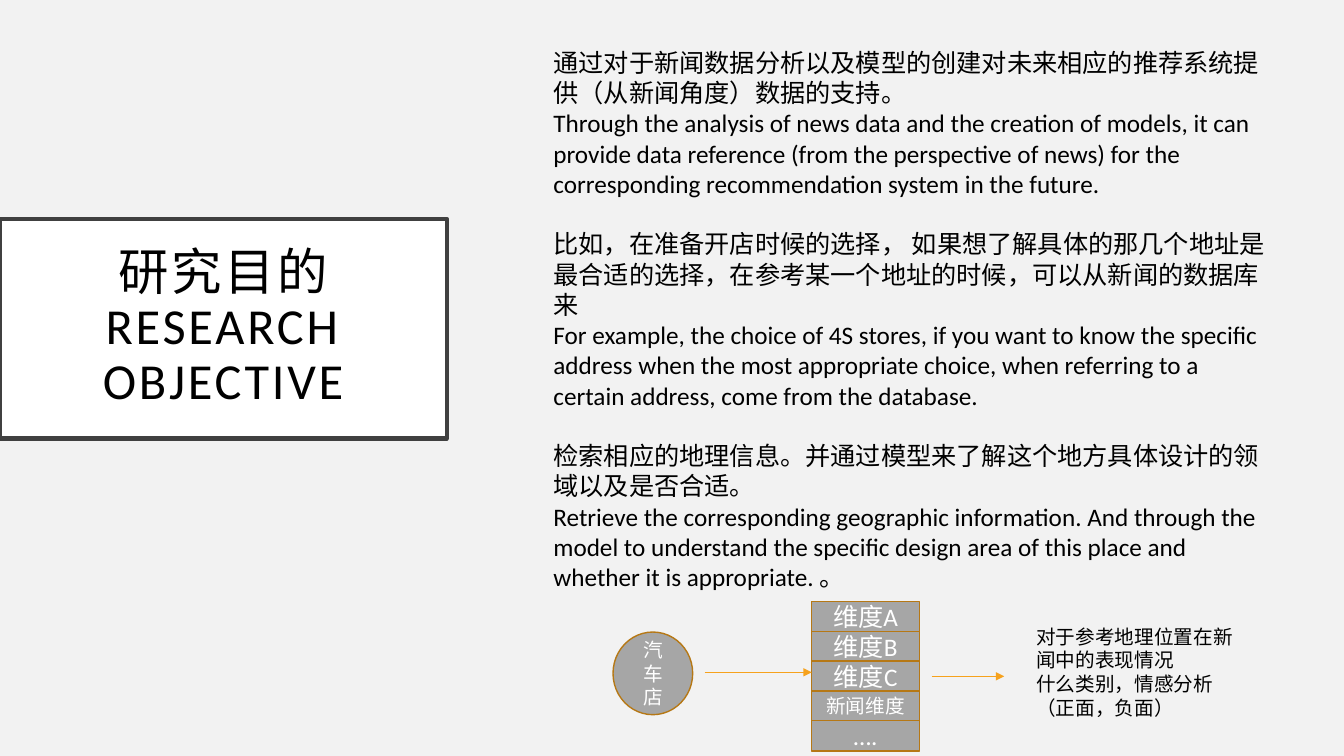
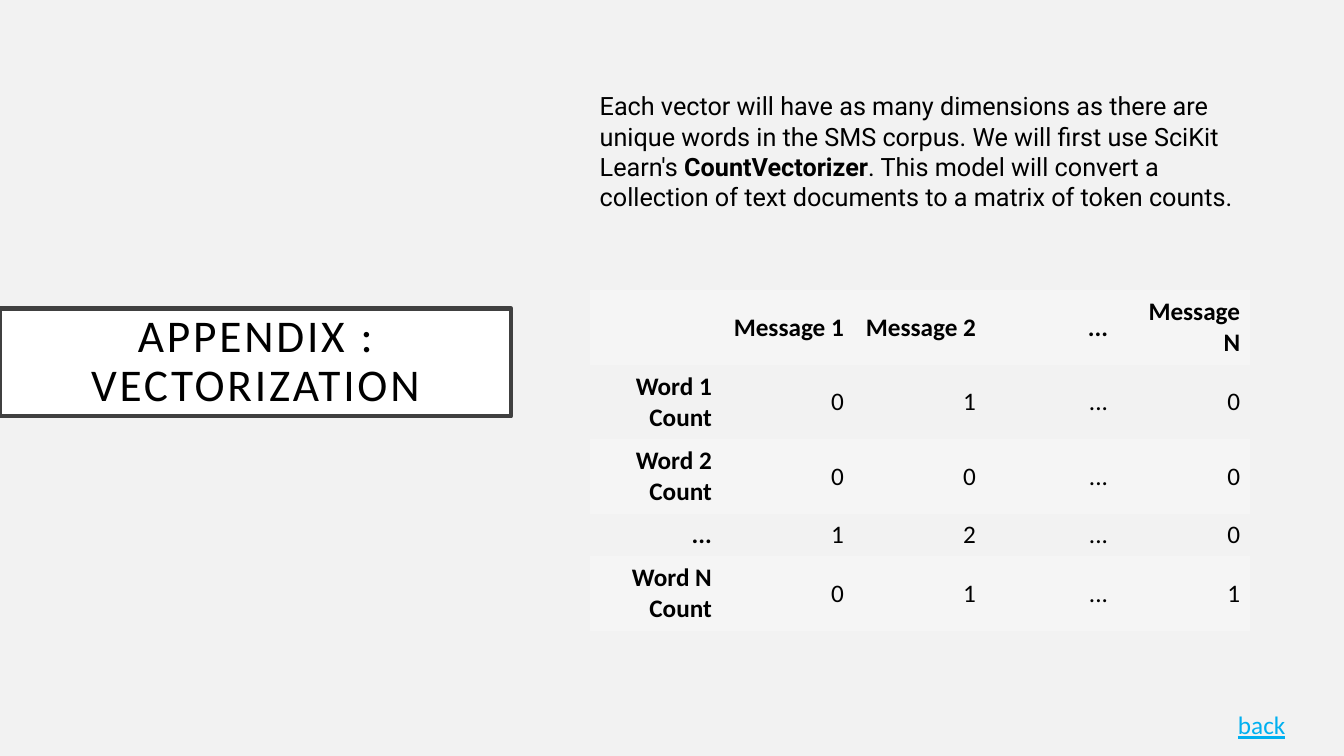
"""Build the research objective and vectorization slides."""
from dataclasses import dataclass
from typing import Sequence

from lxml import etree
from pptx import Presentation
from pptx import util as u
from pptx.dml.color import RGBColor
from pptx.enum import shapes, text
from pptx.oxml import ns


@dataclass(frozen=True)
class Theme:
    background: str = "F2F2F2"
    panel: str = "FFFFFF"
    panel_line: str = "404040"
    ink: str = "000000"
    node: str = "A6A6A6"
    node_line: str = "B67815"
    node_ink: str = "FFFFFF"
    arrow: str = "F6A21D"
    band: str = "F5F5F5"
    link: str = "00B0F0"
    font: str = "Calibri"
    alternate_font: str = "Roboto"
    title_size: float = 36
    small_title_size: float = 32.4
    body_size: float = 18
    small_size: float = 14
    section_gap: float = 21.6
    plain_table: str = "{2D5ABB26-0587-4C30-8999-92F81FD0307C}"


THEME = Theme()


@dataclass(frozen=True)
class Box:
    left: float
    top: float
    width: float
    height: float

    def lengths(self) -> tuple:
        return tuple(u.Inches(value) for value in (self.left, self.top, self.width, self.height))


@dataclass(frozen=True)
class Style:
    size: float = THEME.body_size
    color: str = THEME.ink
    font: str = THEME.font
    bold: bool = False
    underline: bool = False


@dataclass(frozen=True)
class Span:
    words: str
    bold: bool = False


@dataclass(frozen=True)
class Paragraph:
    spans: Sequence[Span]
    gap: float = 0


@dataclass(frozen=True)
class Node:
    label: str
    box: Box
    preset: shapes.MSO_SHAPE = shapes.MSO_SHAPE.RECTANGLE
    size: float = THEME.body_size


@dataclass(frozen=True)
class Arrow:
    start: float
    end: float
    height: float


OBJECTIVES = [
    ("通过对于新闻数据分析以及模型的创建对未来相应的推荐系统提供（从新闻角度）数据的支持。",
     "Through the analysis of news data and the creation of models, it can provide data reference "
     "(from the perspective of news) for the corresponding recommendation system in the future."),
    ("比如，在准备开店时候的选择， 如果想了解具体的那几个地址是最合适的选择，"
     "在参考某一个地址的时候，可以从新闻的数据库来",
     "For example, the choice of 4S stores, if you want to know the specific address when the most "
     "appropriate choice, when referring to a certain address, come from the database."),
    ("检索相应的地理信息。并通过模型来了解这个地方具体设计的领域以及是否合适。",
     "Retrieve the corresponding geographic information. And through the model to understand the "
     "specific design area of this place and whether it is appropriate. 。"),
]
DIMENSIONS = [
    ("维度A", THEME.body_size),
    ("维度B", THEME.body_size),
    ("维度C", THEME.body_size),
    ("新闻维度", THEME.small_size),
    ("….", THEME.body_size),
]
DIMENSION_TOP, DIMENSION_PITCH = 5.97, 1.18 / 4
ARROWS = [Arrow(6.99, 8.05, 6.67), Arrow(9.24, 9.96, 6.71)]
OUTCOMES = ["对于参考地理位置在新闻中的表现情况", "什么类别，情感分析（正面，负面）"]
VECTORIZER = [
    Span("Each vector will have as many dimensions as there are unique words in the SMS corpus. "
         "We will first use SciKit Learn's "),
    Span("CountVectorizer", bold=True),
    Span(". This model will convert a collection of text documents to a matrix of token counts."),
]
COUNTS = [
    ["", "Message 1", "Message 2", "...", "Message N"],
    ["Word 1 Count", "0", "1", "...", "0"],
    ["Word 2 Count", "0", "0", "...", "0"],
    ["...", "1", "2", "...", "0"],
    ["Word N Count", "0", "1", "...", "1"],
]
ROW_HEIGHTS = [0.74, 0.74, 0.74, 0.42, 0.74]


def rgb(color: str) -> RGBColor:
    """Turn a hexadecimal colour into a presentation colour."""
    return RGBColor.from_string(color)


def add_run(paragraph, words: str, style: Style):
    """Add one formatted run to a paragraph."""
    run = paragraph.add_run()
    run.text = words
    font = run.font
    font.name, font.size = style.font, u.Pt(style.size)
    font.bold, font.underline = style.bold, style.underline
    font.color.rgb = rgb(style.color)
    return run


def paint(shape, fill: str, line: str, width: float) -> None:
    """Give a shape a solid fill and an outline."""
    shape.fill.solid()
    shape.fill.fore_color.rgb = rgb(fill)
    shape.line.color.rgb = rgb(line)
    shape.line.width = u.Pt(width)


def add_titled_slide(presentation, lines: Sequence[str], box: Box, size: float):
    """Add a slide whose title sits in a framed panel."""
    slide = presentation.slides.add_slide(presentation.slide_layouts[5])
    title = slide.shapes.title
    title.left, title.top, title.width, title.height = box.lengths()
    paint(title, THEME.panel, THEME.panel_line, 3)
    frame = title.text_frame
    frame.auto_size = text.MSO_AUTO_SIZE.NONE
    frame.word_wrap = True
    frame.vertical_anchor = text.MSO_ANCHOR.MIDDLE
    frame.margin_left = frame.margin_right = u.Inches(0.3)
    frame.margin_top = frame.margin_bottom = u.Inches(0.2)
    for index, line in enumerate(lines):
        paragraph = frame.add_paragraph() if index else frame.paragraphs[0]
        paragraph.alignment = text.PP_ALIGN.CENTER
        paragraph.line_spacing = 0.9
        run = add_run(paragraph, line, Style(size))
        run.font._element.set("spc", "200")
    return slide


def add_text(slide, box: Box, paragraphs: Sequence[Paragraph], style: Style, wrap: bool = True) -> None:
    """Add a text box that grows with its paragraphs."""
    frame = slide.shapes.add_textbox(*box.lengths()).text_frame
    frame.word_wrap = wrap
    frame.auto_size = text.MSO_AUTO_SIZE.SHAPE_TO_FIT_TEXT
    for index, content in enumerate(paragraphs):
        paragraph = frame.add_paragraph() if index else frame.paragraphs[0]
        if content.gap:
            paragraph.space_before = u.Pt(content.gap)
        for span in content.spans:
            add_run(paragraph, span.words, Style(style.size, style.color, style.font, span.bold, style.underline))


def add_node(slide, node: Node) -> None:
    """Add one labelled diagram node."""
    shape = slide.shapes.add_shape(node.preset, *node.box.lengths())
    shape.shadow.inherit = False
    paint(shape, THEME.node, THEME.node_line, 1)
    frame = shape.text_frame
    frame.word_wrap = True
    frame.vertical_anchor = text.MSO_ANCHOR.MIDDLE
    paragraph = frame.paragraphs[0]
    paragraph.alignment = text.PP_ALIGN.CENTER
    add_run(paragraph, node.label, Style(node.size, THEME.node_ink))


def add_arrow(slide, arrow: Arrow) -> None:
    """Add a horizontal arrow pointing right."""
    height = u.Inches(arrow.height)
    connector = slide.shapes.add_connector(
        shapes.MSO_CONNECTOR.STRAIGHT, u.Inches(arrow.start), height, u.Inches(arrow.end), height)
    connector.line.color.rgb = rgb(THEME.arrow)
    connector.line.width = u.Pt(0.5)
    properties = connector._element.spPr
    etree.SubElement(properties.get_or_add_ln(), ns.qn("a:tailEnd"), type="triangle")
    etree.SubElement(properties, ns.qn("a:effectLst"))


def add_count_table(slide, box: Box) -> None:
    """Add the banded matrix of word counts."""
    table = slide.shapes.add_table(len(COUNTS), len(COUNTS[0]), *box.lengths()).table
    table._tbl.tblPr.find(ns.qn("a:tableStyleId")).text = THEME.plain_table
    table.first_row = table.horz_banding = False
    for column in table.columns:
        column.width = u.Inches(box.width / len(COUNTS[0]))
    for row_index, (values, height) in enumerate(zip(COUNTS, ROW_HEIGHTS)):
        table.rows[row_index].height = u.Inches(height)
        for column_index, value in enumerate(values):
            cell = table.cell(row_index, column_index)
            cell.vertical_anchor = text.MSO_ANCHOR.MIDDLE
            if row_index % 2:
                cell.fill.background()
            else:
                cell.fill.solid()
                cell.fill.fore_color.rgb = rgb(THEME.band)
            if value:
                paragraph = cell.text_frame.paragraphs[0]
                paragraph.alignment = text.PP_ALIGN.RIGHT
                add_run(paragraph, value, Style(bold=row_index == 0 or column_index == 0))


def build_objective(presentation) -> None:
    """Build the research objective slide."""
    slide = add_titled_slide(
        presentation, ["研究目的", "RESEARCH OBJECTIVE"], Box(0, 2.17, 4.43, 2.18), THEME.title_size)
    paragraphs = []
    for index, (chinese, english) in enumerate(OBJECTIVES):
        paragraphs.append(Paragraph([Span(chinese)], THEME.section_gap if index else 0))
        paragraphs.append(Paragraph([Span(english)]))
    add_text(slide, Box(5.39, 0.42, 7.31, 5.55), paragraphs, Style())
    add_node(slide, Node("汽车店", Box(6.08, 6.27, 0.79, 0.82), shapes.MSO_SHAPE.OVAL, THEME.small_size))
    for index, (label, size) in enumerate(DIMENSIONS):
        box = Box(8.05, DIMENSION_TOP + index * DIMENSION_PITCH, 1.07, 0.3)
        add_node(slide, Node(label, box, size=size))
    for arrow in ARROWS:
        add_arrow(slide, arrow)
    outcomes = [Paragraph([Span(outcome)]) for outcome in OUTCOMES]
    add_text(slide, Box(10.18, 6.15, 2.33, 1.04), outcomes, Style(THEME.small_size))


def build_vectorization(presentation) -> None:
    """Build the vectorization appendix slide."""
    slide = add_titled_slide(
        presentation, ["APPENDIX :", "VECTORIZATION"], Box(0, 3.06, 5.07, 1.07), THEME.small_title_size)
    add_count_table(slide, Box(5.85, 2.88, 6.55, sum(ROW_HEIGHTS)))
    add_text(slide, Box(5.85, 0.85, 6.67, 1.31), [Paragraph(VECTORIZER)], Style(font=THEME.alternate_font))
    add_text(slide, Box(12.18, 6.99, 0.68, 0.4), [Paragraph([Span("back")])],
             Style(color=THEME.link, underline=True), wrap=False)


def main() -> None:
    """Create and save the presentation."""
    presentation = Presentation()
    presentation.slide_width, presentation.slide_height = u.Inches(13.33), u.Inches(7.5)
    background = presentation.slide_master.background.fill
    background.solid()
    background.fore_color.rgb = rgb(THEME.background)
    build_objective(presentation)
    build_vectorization(presentation)
    presentation.save("out.pptx")


if __name__ == "__main__":
    main()
